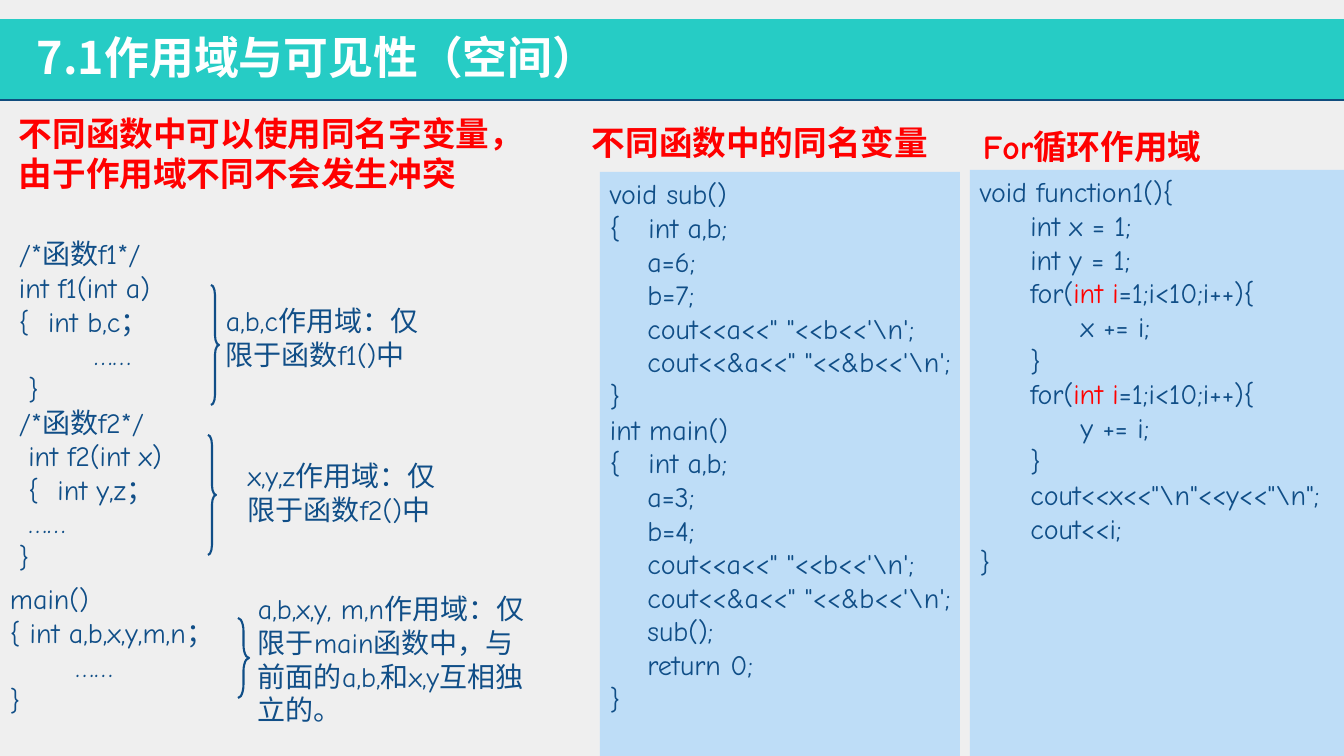
"""Build the slide on scope and visibility of variables."""
from typing import NamedTuple

import pptx
import pptx.dml.color
import pptx.enum.shapes
import pptx.oxml
import pptx.oxml.ns
import pptx.util

PX = 914400 / 100.8
WIDE, HIGH = 1344, 756
COMIC, NOTO = "Comic Neue", "Noto Sans CJK JP"
INK, RED, WHITE = "104E87", "FF0000", "FFFFFF"
TEAL, NAVY, PALE, GREY = "26CCC5", "104D7E", "BEDDF7", "EFEFEF"
KIND = pptx.enum.shapes.MSO_SHAPE


class Box(NamedTuple):
    left: int
    top: int
    width: int
    height: int


class Head(NamedTuple):
    box: Box
    text: str
    face: str


class Code(NamedTuple):
    box: Box
    text: str
    wrap: bool


class Note(NamedTuple):
    box: Box
    text: str
    brace: Box


HEADS = [
    Head(Box(9, 108, 550, 92), "不同函数中可以使用同名字变量，由于作用域不同不会发生冲突", COMIC),
    Head(Box(582, 117, 397, 50), "不同函数中的同名变量", NOTO),
    Head(Box(973, 121, 328, 50), "For循环作用域", COMIC),
]

PANELS = [
    Code(Box(970, 170, 374, 586), r"""void function1(){
	int x = 1;
	int y = 1;
	for(int i=1;i<10;i++){
		x += i;
	}
	for(int i=1;i<10;i++){
		y += i;
	}
	cout<<x<<"\n"<<y<<"\n";
	cout<<i;
}""", True),
    Code(Box(600, 172, 360, 586), r"""void sub()
{   int a,b;
    a=6;
    b=7;
    cout<<a<<" "<<b<<'\n';
    cout<<&a<<" "<<&b<<'\n';
}
int main()
{   int a,b;
    a=3;
    b=4;
    cout<<a<<" "<<b<<'\n';
    cout<<&a<<" "<<&b<<'\n';
    sub();
    return 0;
}""", False),
]

PARTS = [
    Code(Box(9, 232, 251, 350), """/*函数f1*/
int f1(int a)
{  int b,c；
        ……
 }
/*函数f2*/
 int f2(int x)
 {  int y,z；
 ……
}""", True),
    Code(Box(0, 577, 559, 146), """main()
{ int a,b,x,y,m,n；
       ……
}""", True),
]

NOTES = [
    Note(Box(216, 299, 222, 78), "a,b,c作用域：仅限于函数f1()中", Box(211, 285, 8, 120)),
    Note(Box(238, 454, 222, 78), "x,y,z作用域：仅限于函数f2()中", Box(208, 435, 8, 120)),
    Note(Box(248, 587, 293, 146),
         "a,b,x,y, m,n作用域：仅限于main函数中，与前面的a,b,和x,y互相独立的。",
         Box(238, 618, 11, 80)),
]


def emu(size: int) -> int:
    """Turn px into EMU."""
    return round(size * PX)


def tint(code: str) -> pptx.dml.color.RGBColor:
    """Turn a hex string into a colour."""
    return pptx.dml.color.RGBColor.from_string(code)


def place(box: Box) -> list[int]:
    """Give the bounds of a box in EMU."""
    return [emu(size) for size in box]


def write(frame, text: str, *, size: int = 20, face: str = COMIC, color: str = INK,
          bold: bool = False, wrap: bool = True, mark: str = "") -> None:
    """Fill a frame with lines of text, with one phrase marked in red."""
    frame.word_wrap = wrap
    frame.vertical_anchor = pptx.enum.text.MSO_ANCHOR.TOP
    for row, line in enumerate(text.split("\n")):
        para = frame.add_paragraph() if row else frame.paragraphs[0]
        para.alignment = pptx.enum.text.PP_ALIGN.LEFT
        for piece in line.partition(mark) if mark else [line]:
            if not piece:
                continue
            run = para.add_run()
            run.text = piece
            font = run.font
            font.size, font.bold, font.name = pptx.util.Pt(size), bold, face
            font.color.rgb = tint(RED if piece == mark else color)
            latin = font._element.find(pptx.oxml.ns.qn("a:latin"))
            east = pptx.oxml.parse_xml(
                f'<a:ea {pptx.oxml.ns.nsdecls("a")} typeface="{face}"/>')
            latin.addnext(east)


def label(slide, box: Box, text: str, **style) -> None:
    """Add a text box."""
    write(slide.shapes.add_textbox(*place(box)).text_frame, text, **style)


def panel(slide, box: Box, color: str):
    """Add a plain filled rectangle."""
    shape = slide.shapes.add_shape(KIND.RECTANGLE, *place(box))
    shape.shadow.inherit = False
    shape.fill.solid()
    shape.fill.fore_color.rgb = tint(color)
    shape.line.fill.background()
    return shape


def brace(slide, box: Box) -> None:
    """Add a right brace."""
    shape = slide.shapes.add_shape(KIND.RIGHT_BRACE, *place(box))
    shape.shadow.inherit = False
    shape.adjustments[0] = 1.22
    shape.fill.background()
    shape.line.color.rgb = tint(INK)
    shape.line.width = pptx.util.Pt(1.5)


def rule(slide, top: int) -> None:
    """Add a line across the slide."""
    line = slide.shapes.add_connector(
        pptx.enum.shapes.MSO_CONNECTOR.STRAIGHT, 0, emu(top), emu(WIDE), emu(top))
    line.line.color.rgb = tint(NAVY)
    line.line.width = pptx.util.Pt(2)
    line._element.spPr.append(
        pptx.oxml.parse_xml(f'<a:effectLst {pptx.oxml.ns.nsdecls("a")}/>'))


def main() -> None:
    """Draw and save the slide."""
    deck = pptx.Presentation()
    deck.slide_width, deck.slide_height = emu(WIDE), emu(HIGH)
    slide = deck.slides.add_slide(deck.slide_layouts[6])
    slide.background.fill.solid()
    slide.background.fill.fore_color.rgb = tint(GREY)
    panel(slide, Box(0, 19, WIDE, 81), TEAL)
    rule(slide, 100)
    label(slide, Box(27, 25, 885, 65), "7.1作用域与可见性（空间）",
          size=32, face=NOTO, color=WHITE, bold=True)
    for code in PANELS:
        shape = panel(slide, code.box, PALE)
        write(shape.text_frame, code.text, wrap=code.wrap, mark="int i")
    for code in PARTS:
        label(slide, code.box, code.text, wrap=code.wrap)
    for note in NOTES:
        brace(slide, note.brace)
        label(slide, note.box, note.text)
    for head in HEADS:
        label(slide, head.box, head.text, size=24, face=head.face, color=RED, bold=True)
    deck.save("out.pptx")


if __name__ == "__main__":
    main()
